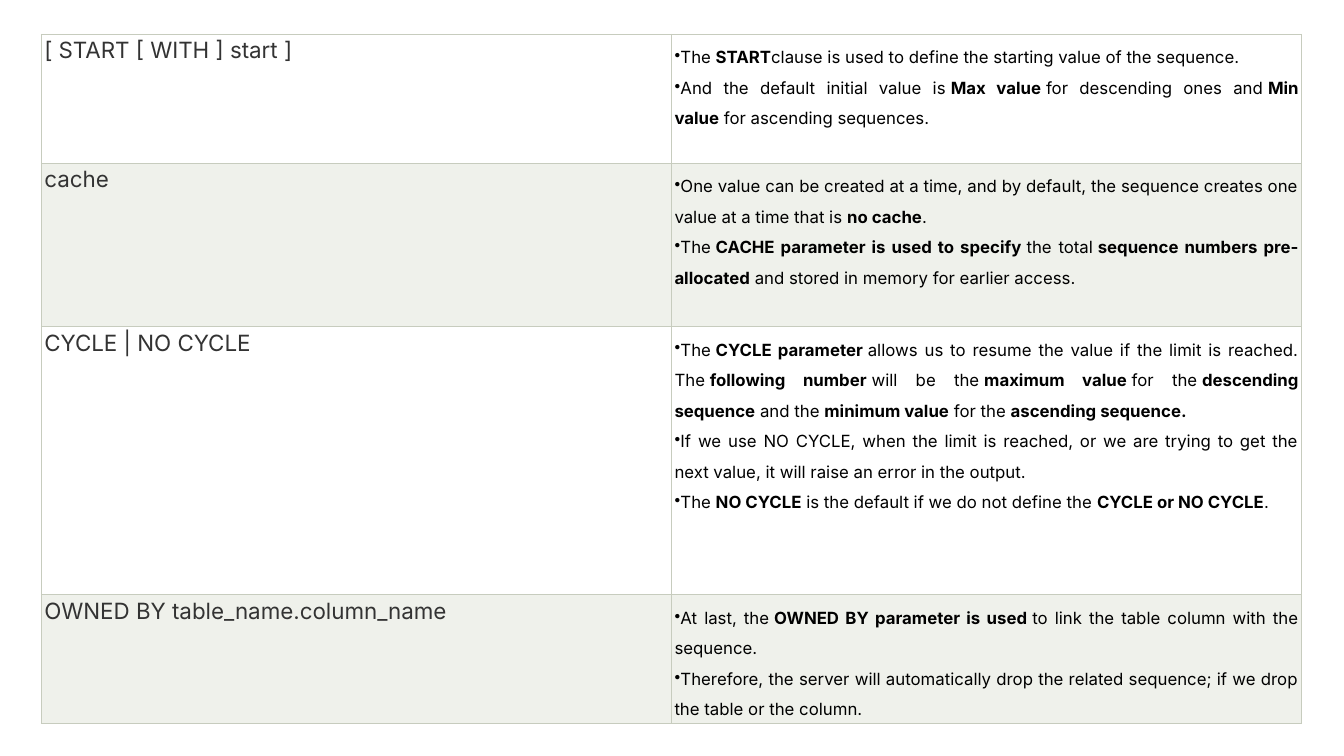
"""Build a slide with a table explaining the sequence parameters."""
from lxml import etree
from pptx import Presentation
from pptx.dml.color import RGBColor
from pptx.enum.text import PP_ALIGN
from pptx.oxml.ns import qn
from pptx.util import Inches, Pt

JUSTIFY = PP_ALIGN.JUSTIFY
NBSP = "\u00a0"
BOLD_MARK = "*"

THEME = {
    "font": "Inter",
    "term_size": 16,
    "detail_size": 12,
    "term_color": "333333",
    "detail_color": "000000",
    "row_fills": ("FFFFFF", "EFF1EB"),
    "border_color": "C7CCBE",
    "border_width": 0.6,
    "cell_margin": 0.03,
    "detail_spacing": 1.5,
}

SLIDE_SIZE = (13.33, 7.5)
TABLE_LEFT, TABLE_TOP, TABLE_WIDTH = 0.41, 0.34, 12.5

PARAMETERS = [
    ("[ START [ WITH ] start ]", 1.28, [
        "The *START*clause is used to define the starting value of the sequence.",
        "And the default initial value is *Max value* for descending ones and "
        "*Min value* for ascending sequences.",
    ]),
    ("cache", 1.62, [
        "One value can be created at a time, and by default, the sequence "
        "creates one value at a time that is *no cache*.",
        "The *CACHE parameter is used to specify* the total "
        "*sequence numbers pre-allocated* and stored in memory for earlier access.",
    ]),
    ("CYCLE | NO CYCLE", 2.66, [
        "The *CYCLE parameter* allows us to resume the value if the limit is "
        "reached. The *following number* will be the *maximum value* for the "
        "*descending sequence* and the *minimum value* for the *ascending sequence.*",
        "If we use NO CYCLE, when the limit is reached, or we are trying to get "
        "the next value, it will raise an error in the output.",
        "The *NO CYCLE* is the default if we do not define the *CYCLE or NO CYCLE*.",
    ]),
    ("OWNED BY table_name.column_name", 1.28, [
        "At last, the *OWNED BY parameter is used* to link the table column with "
        "the sequence.",
        "Therefore, the server will automatically drop the related sequence; if "
        "we drop the table or the column.",
    ]),
]


def add_run(paragraph, text, role, bold=False):
    run = paragraph.add_run()
    run.text = text
    run.font.name = THEME["font"]
    run.font.size = Pt(THEME[role + "_size"])
    run.font.color.rgb = RGBColor.from_string(THEME[role + "_color"])
    run.font.bold = bold


def join_to_bold(text):
    """Turn the spaces at the edges of a plain stretch into no-break spaces."""
    start = NBSP if text.startswith(" ") else ""
    end = NBSP if text.endswith(" ") else ""
    return start + text.strip(" ") + end


def add_detail(paragraph, detail):
    paragraph.alignment = JUSTIFY
    paragraph.line_spacing = THEME["detail_spacing"]
    properties = paragraph._p.get_or_add_pPr()
    properties.set("marL", "0")
    properties.set("indent", "0")
    etree.SubElement(properties, qn("a:buChar")).set("char", "\u2022")
    for index, stretch in enumerate(detail.split(BOLD_MARK)):
        bold = index % 2 == 1
        if stretch:
            add_run(paragraph, stretch if bold else join_to_bold(stretch),
                    "detail", bold)


def style_cell(cell, fill):
    margin = Inches(THEME["cell_margin"])
    cell.margin_left = cell.margin_right = margin
    cell.margin_top = cell.margin_bottom = margin
    properties = cell._tc.get_or_add_tcPr()
    for side in ("lnL", "lnR", "lnT", "lnB"):
        border = etree.SubElement(properties, qn("a:" + side))
        border.set("w", str(Pt(THEME["border_width"])))
        paint = etree.SubElement(border, qn("a:solidFill"))
        etree.SubElement(paint, qn("a:srgbClr")).set("val", THEME["border_color"])
    cell.fill.solid()
    cell.fill.fore_color.rgb = RGBColor.from_string(fill)


deck = Presentation()
deck.slide_width, deck.slide_height = map(Inches, SLIDE_SIZE)
slide = deck.slides.add_slide(deck.slide_layouts[6])

table_height = sum(height for _, height, _ in PARAMETERS)
parameter_table = slide.shapes.add_table(
    len(PARAMETERS), 2, Inches(TABLE_LEFT), Inches(TABLE_TOP),
    Inches(TABLE_WIDTH), Inches(table_height)).table
parameter_table.first_row = False
parameter_table.horz_banding = False

for row, (term, height, details) in enumerate(PARAMETERS):
    parameter_table.rows[row].height = Inches(height)
    term_cell, detail_cell = parameter_table.rows[row].cells
    fill = THEME["row_fills"][row % 2]
    style_cell(term_cell, fill)
    style_cell(detail_cell, fill)

    term_line = term_cell.text_frame.paragraphs[0]
    term_line.alignment = JUSTIFY
    add_run(term_line, term, "term")

    detail_frame = detail_cell.text_frame
    for index, detail in enumerate(details):
        add_detail(detail_frame.add_paragraph() if index
                   else detail_frame.paragraphs[0], detail)

deck.save("out.pptx")
